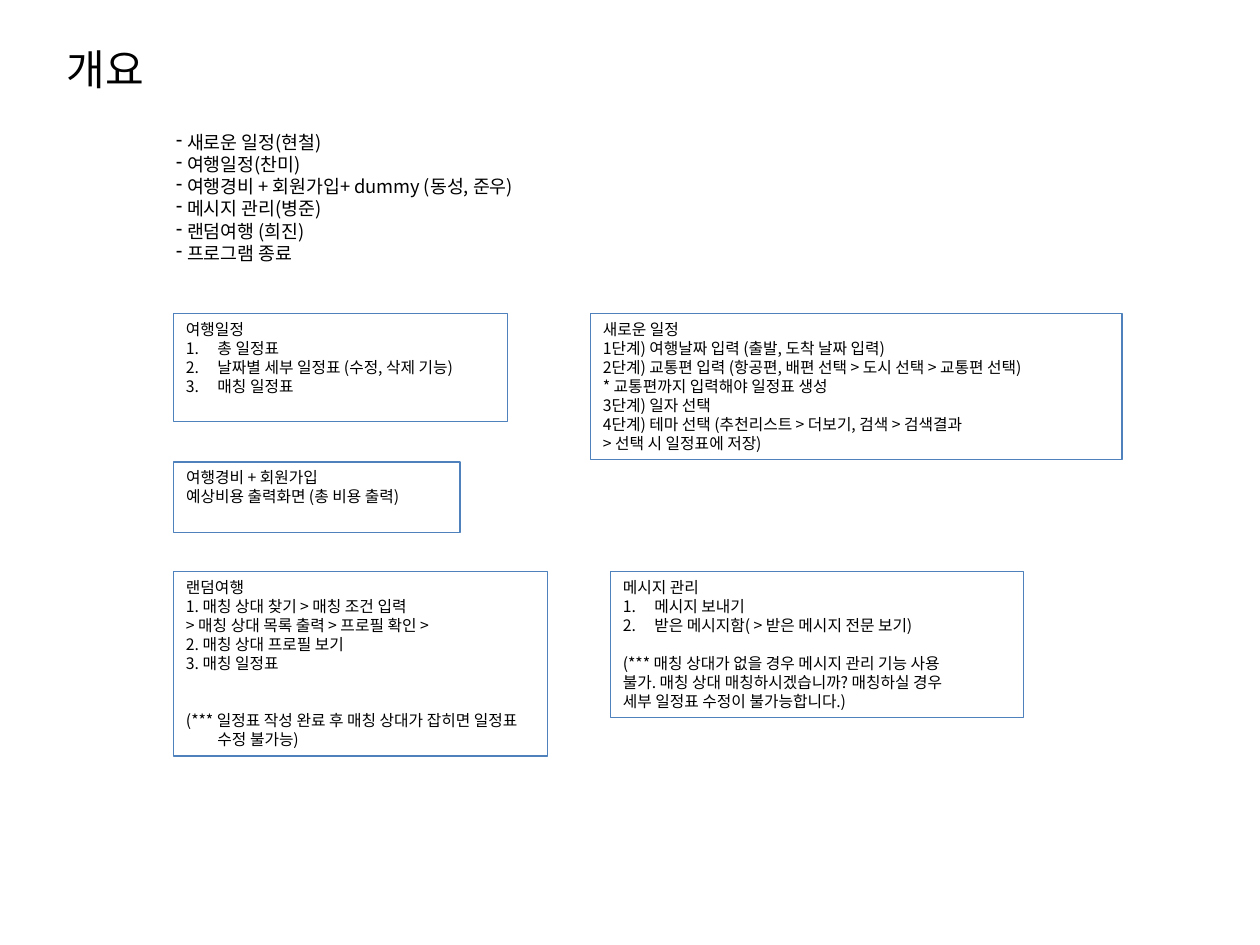
from dataclasses import dataclass

from lxml import etree
from pptx import Presentation
from pptx.dml.color import RGBColor
from pptx.enum.shapes import MSO_SHAPE
from pptx.enum.text import MSO_ANCHOR, MSO_AUTO_SIZE, PP_ALIGN
from pptx.oxml.ns import qn
from pptx.util import Pt

LEFT, TOP, NO_FIT = PP_ALIGN.LEFT, MSO_ANCHOR.TOP, MSO_AUTO_SIZE.NONE
RECTANGLE = MSO_SHAPE.RECTANGLE
TITLE_ONLY = 5


@dataclass(frozen=True)
class Theme:
    font: str = "Noto Sans CJK KR"
    ink: RGBColor = RGBColor(0, 0, 0)
    border: RGBColor = RGBColor(0x4F, 0x81, 0xBD)
    title: float = 24
    menu: float = 10.5
    body: float = 9
    leading: float = 1.207


THEME = Theme()

# Content: each line is (style, text, blank lines above)
PLAIN, DASH, NUMBER, HANGING = "plain", "dash", "number", "hanging"


def lines(style, *texts):
    return [(style, text, 0) for text in texts]


TITLE = "개요"
MENU = lines(
    DASH,
    "새로운 일정(현철)",
    "여행일정(찬미)",
    "여행경비 + 회원가입+ dummy (동성, 준우)",
    "메시지 관리(병준)",
    "랜덤여행 (희진)",
    "프로그램 종료",
)
NEW_TRIP = lines(
    PLAIN,
    "새로운 일정",
    "1단계) 여행날짜 입력 (출발, 도착 날짜 입력)",
    "2단계) 교통편 입력 (항공편, 배편 선택 > 도시 선택 > 교통편 선택)",
    "* 교통편까지 입력해야 일정표 생성",
    "3단계) 일자 선택",
    "4단계) 테마 선택 (추천리스트 > 더보기, 검색 > 검색결과",
    "> 선택 시 일정표에 저장)",
)
SCHEDULE = lines(PLAIN, "여행일정") + lines(
    NUMBER, "총 일정표", "날짜별 세부 일정표 (수정, 삭제 기능)", "매칭 일정표"
)
EXPENSES = lines(PLAIN, "여행경비 + 회원가입", "예상비용 출력화면 (총 비용 출력)")
MESSAGES = (
    lines(PLAIN, "메시지 관리")
    + lines(NUMBER, "메시지 보내기", "받은 메시지함( > 받은 메시지 전문 보기)")
    + [(PLAIN, "(*** 매칭 상대가 없을 경우 메시지 관리 기능 사용", 1)]
    + lines(
        PLAIN,
        "불가. 매칭 상대 매칭하시겠습니까? 매칭하실 경우",
        "세부 일정표 수정이 불가능합니다.)",
    )
)
RANDOM_TRIP = lines(
    PLAIN,
    "랜덤여행",
    "1. 매칭 상대 찾기 > 매칭 조건 입력",
    "> 매칭 상대 목록 출력 > 프로필 확인 >",
    "2. 매칭 상대 프로필 보기",
    "3. 매칭 일정표",
) + [(HANGING, "(*** 일정표 작성 완료 후 매칭 상대가 잡히면 일정표 수정 불가능)", 2)]

# Layout: left column and the three rows of boxes
COLUMN = 99.2
ROW_1, ROW_2, ROW_3 = 179, 264, 326.6
BOXES = [
    (NEW_TRIP, (337.4, ROW_1, 303.8, 83.7)),
    (SCHEDULE, (COLUMN, ROW_1, 191, 61.9)),
    (EXPENSES, (COLUMN, ROW_2, 163.7, 40.3)),
    (MESSAGES, (348.8, ROW_3, 236.2, 83.5)),
    (RANDOM_TRIP, (COLUMN, ROW_3, 213.8, 105.4)),
]

# Bullet tag, its attributes, hanging indent in points
STYLES = {
    PLAIN: ("a:buNone", {}, 0),
    DASH: ("a:buChar", {"char": "-"}, 6.3),
    NUMBER: ("a:buAutoNum", {"type": "arabicPeriod"}, 18),
    HANGING: ("a:buNone", {}, 18),
}


def write(frame, content, size, wrap=True):
    """Fill a text frame with styled lines."""
    frame.word_wrap = wrap
    frame.auto_size = NO_FIT
    frame.vertical_anchor = TOP
    pitch = round(size * THEME.leading, 2)
    for index, (style, text, gap) in enumerate(content):
        paragraph = frame.add_paragraph() if index else frame.paragraphs[0]
        paragraph.text = text
        paragraph.alignment = LEFT
        paragraph.line_spacing = Pt(pitch)
        paragraph.space_before = Pt(gap * pitch)
        font = paragraph.font
        font.name, font.size = THEME.font, Pt(size)
        font.color.rgb = THEME.ink

        # East Asian font and bullet
        properties = paragraph._p.get_or_add_pPr()
        defaults = properties.find(qn("a:defRPr"))
        latin = defaults.find(qn("a:latin"))
        latin.addnext(etree.Element(qn("a:ea"), typeface=THEME.font))
        tag, attributes, indent = STYLES[style]
        defaults.addprevious(etree.Element(qn(tag), attributes))
        properties.set("marL", str(Pt(indent)))
        properties.set("indent", str(-Pt(indent)))


def main():
    deck = Presentation()
    deck.slide_width, deck.slide_height = Pt(720), Pt(540)
    slide = deck.slides.add_slide(deck.slide_layouts[TITLE_ONLY])

    # Title
    title = slide.shapes.title
    title.left, title.top, title.width, title.height = map(Pt, (31, 20.9, 63.4, 36))
    write(title.text_frame, lines(PLAIN, TITLE), THEME.title, wrap=False)

    # Menu with owners
    menu = slide.shapes.add_textbox(*map(Pt, (93.6, 71.3, 236.2, 83.5)))
    write(menu.text_frame, MENU, THEME.menu)

    # Feature boxes
    for content, place in BOXES:
        box = slide.shapes.add_shape(RECTANGLE, *map(Pt, place))
        box.shadow.inherit = False
        box.fill.background()
        box.line.color.rgb = THEME.border
        box.line.width = Pt(0.75)
        write(box.text_frame, content, THEME.body)

    deck.save("out.pptx")


if __name__ == "__main__":
    main()
